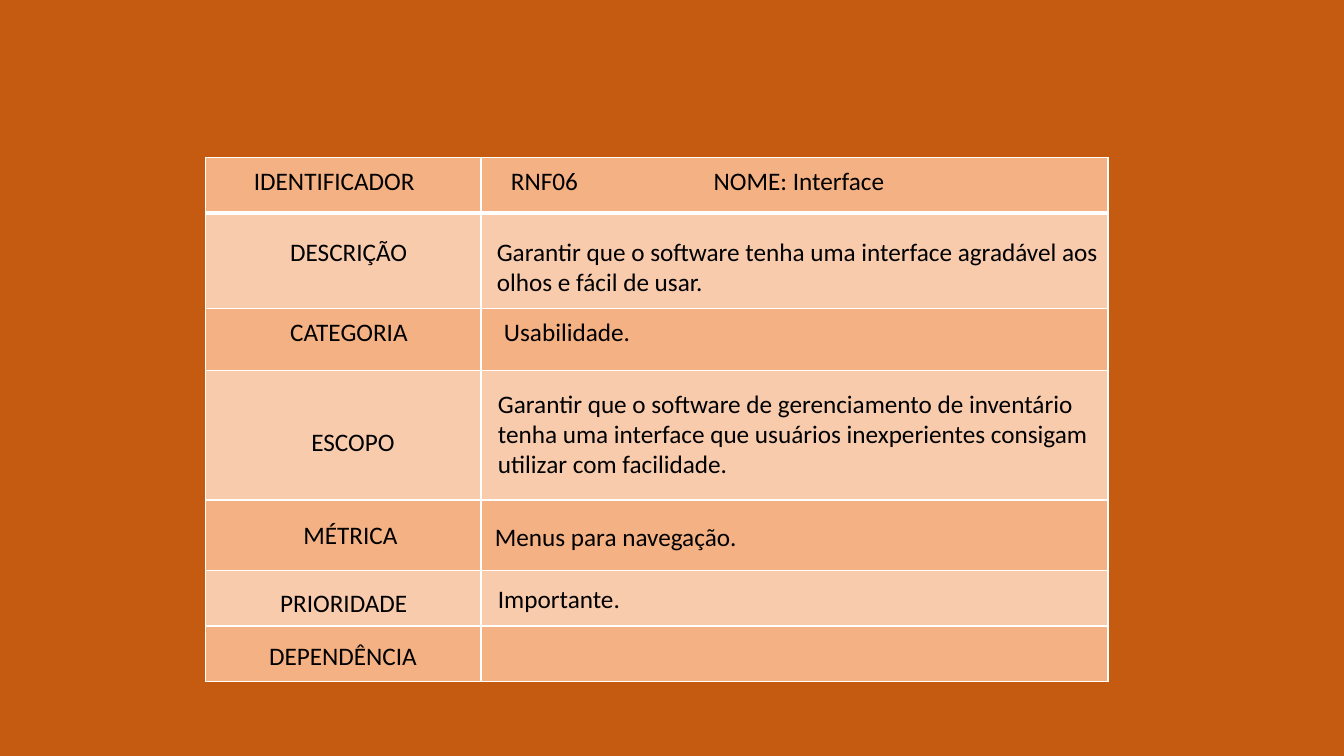
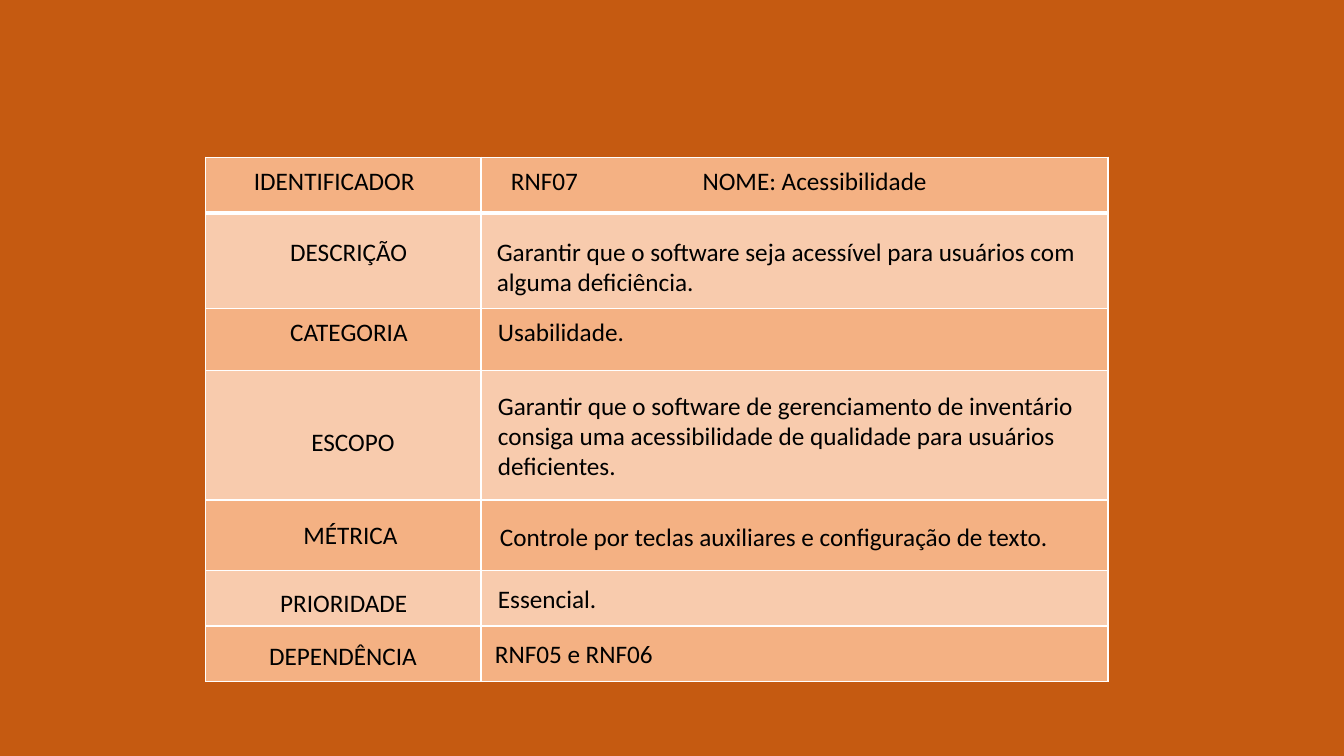
from lxml.etree import SubElement
from pptx import Presentation
from pptx.dml.color import RGBColor
from pptx.enum.text import MSO_AUTO_SIZE
from pptx.oxml.ns import qn
from pptx.util import Inches, Pt

COLORS = {
    "background": "C55A11",
    "dark_band": "F4B183",
    "light_band": "F8CBAD",
    "border": "FFFFFF",
    "text": "000000",
}
FONT = {"name": "Calibri", "size": Pt(18)}

TABLE_LEFT, TABLE_TOP = 2.04, 1.56
COL_WIDTHS = (2.73, 6.22)
ROW_HEIGHTS = (0.55, 0.95, 0.62, 1.28, 0.7, 0.55, 0.55)
LINE_HEIGHT = 0.4
DESCRIPTION_INDENT = 2.05

# text, left, top, width of the labels that stand alone
LABELS = [
    ("MÉTRICA", 2.91, 5.1, 1.14),
    ("PRIORIDADE", 2.68, 5.78, 1.47),
    ("DEPENDÊNCIA", 2.57, 6.3, 1.68),
    ("ESCOPO", 2.99, 4.18, 2),
]

REQUIREMENTS = [
    {
        "id": "RNF06",
        "name": "Interface",
        "name_tab": 4.56,
        "description": "Garantir que o software tenha uma interface agradável "
                       "aos olhos e fácil de usar.",
        "category": "Usabilidade.",
        "category_tab": 2.12,
        "category_width": 3.74,
        "scope": "Garantir que o software de gerenciamento de inventário tenha uma "
                 "interface que usuários inexperientes consigam utilizar com facilidade.",
        "scope_top": 3.8,
        "metric": "Menus para navegação.",
        "metric_left": 4.81,
        "metric_width": 3.41,
        "priority": "Importante.",
        "dependency": None,
    },
    {
        "id": "RNF07",
        "name": "Acessibilidade",
        "name_tab": 4.45,
        "description": "Garantir que o software seja acessível para usuários com "
                       "alguma deficiência.",
        "category": "Usabilidade.",
        "category_tab": 2.06,
        "category_width": 3.57,
        "scope": "Garantir que o software de gerenciamento de inventário consiga uma "
                 "acessibilidade de qualidade para usuários deficientes.",
        "scope_top": 3.82,
        "metric": "Controle por teclas auxiliares e configuração de texto.",
        "metric_left": 4.86,
        "metric_width": 5.89,
        "priority": "Essencial.",
        "dependency": "RNF05 e RNF06",
    },
]


def rgb(name):
    return RGBColor.from_string(COLORS[name])


def set_borders(cell, bottom):
    """Draw the four cell borders; bottom is the lower one's width in points."""
    tc_pr = cell._tc.get_or_add_tcPr()
    for side, width in (("lnL", 1), ("lnR", 1), ("lnT", 1), ("lnB", bottom)):
        ln = SubElement(tc_pr, qn(f"a:{side}"), w=str(Pt(width)))
        fill = SubElement(ln, qn("a:solidFill"))
        SubElement(fill, qn("a:srgbClr"), val=COLORS["border"])


def add_band_table(slide):
    table = slide.shapes.add_table(
        len(ROW_HEIGHTS), len(COL_WIDTHS), Inches(TABLE_LEFT), Inches(TABLE_TOP),
        Inches(sum(COL_WIDTHS)), Inches(sum(ROW_HEIGHTS))).table
    table.first_row = table.horz_banding = False
    for column, width in zip(table.columns, COL_WIDTHS):
        column.width = Inches(width)
    for i, (row, height) in enumerate(zip(table.rows, ROW_HEIGHTS)):
        row.height = Inches(height)
        for cell in row.cells:
            set_borders(cell, bottom=3 if i == 0 else 1)
            cell.fill.solid()
            cell.fill.fore_color.rgb = rgb("light_band" if i % 2 else "dark_band")


def add_tab_stops(p, positions):
    tabs = SubElement(p._p.get_or_add_pPr(), qn("a:tabLst"))
    for position in positions:
        SubElement(tabs, qn("a:tab"), pos=str(Inches(position)), algn="l")


def set_hanging_indent(p, indent):
    p_pr = p._p.get_or_add_pPr()
    p_pr.set("marL", str(Inches(indent)))
    p_pr.set("indent", str(-Inches(indent)))


def add_text(slide, text, left, top, width, height=LINE_HEIGHT, wrap=True,
             tabs=(), hanging=0):
    """Add a text box; tabs and hanging are inches from its text edge."""
    sp = slide.shapes.add_textbox(
        Inches(left), Inches(top), Inches(width), Inches(height))
    tf = sp.text_frame
    tf.word_wrap = wrap
    tf.auto_size = MSO_AUTO_SIZE.SHAPE_TO_FIT_TEXT
    p = tf.paragraphs[0]
    if hanging:
        set_hanging_indent(p, hanging)
    if tabs:
        add_tab_stops(p, tabs)
    r = p.add_run()
    r.text = text
    for key, value in FONT.items():
        setattr(r.font, key, value)
    r.font.color.rgb = rgb("text")


def add_requirement(slide, req):
    add_band_table(slide)
    add_text(slide, f"IDENTIFICADOR\t{req['id']}\tNOME: {req['name']}",
             2.42, 1.59, 8.5, tabs=(2.55, req["name_tab"]))
    add_text(slide, f"DESCRIÇÃO\t{req['description']}",
             2.78, 2.29, 8.27, 0.71, hanging=DESCRIPTION_INDENT)
    add_text(slide, f"CATEGORIA\t{req['category']}",
             2.78, 3.09, req["category_width"], tabs=(req["category_tab"],))
    add_text(slide, req["scope"], 4.84, req["scope_top"], 6.08, 1.03)
    for text, left, top, width in LABELS:
        add_text(slide, text, left, top, width, wrap=False)
    add_text(slide, req["metric"], req["metric_left"], 5.12, req["metric_width"])
    add_text(slide, req["priority"], 4.84, 5.74, 2)
    if req["dependency"]:
        add_text(slide, req["dependency"], 4.81, 6.28, 2)


def main():
    prs = Presentation()
    prs.slide_width, prs.slide_height = Inches(13.33), Inches(7.5)
    background = prs.slide_master.background.fill
    background.solid()
    background.fore_color.rgb = rgb("background")
    blank = prs.slide_layouts[6]
    for req in REQUIREMENTS:
        add_requirement(prs.slides.add_slide(blank), req)
    prs.save("out.pptx")


if __name__ == "__main__":
    main()
